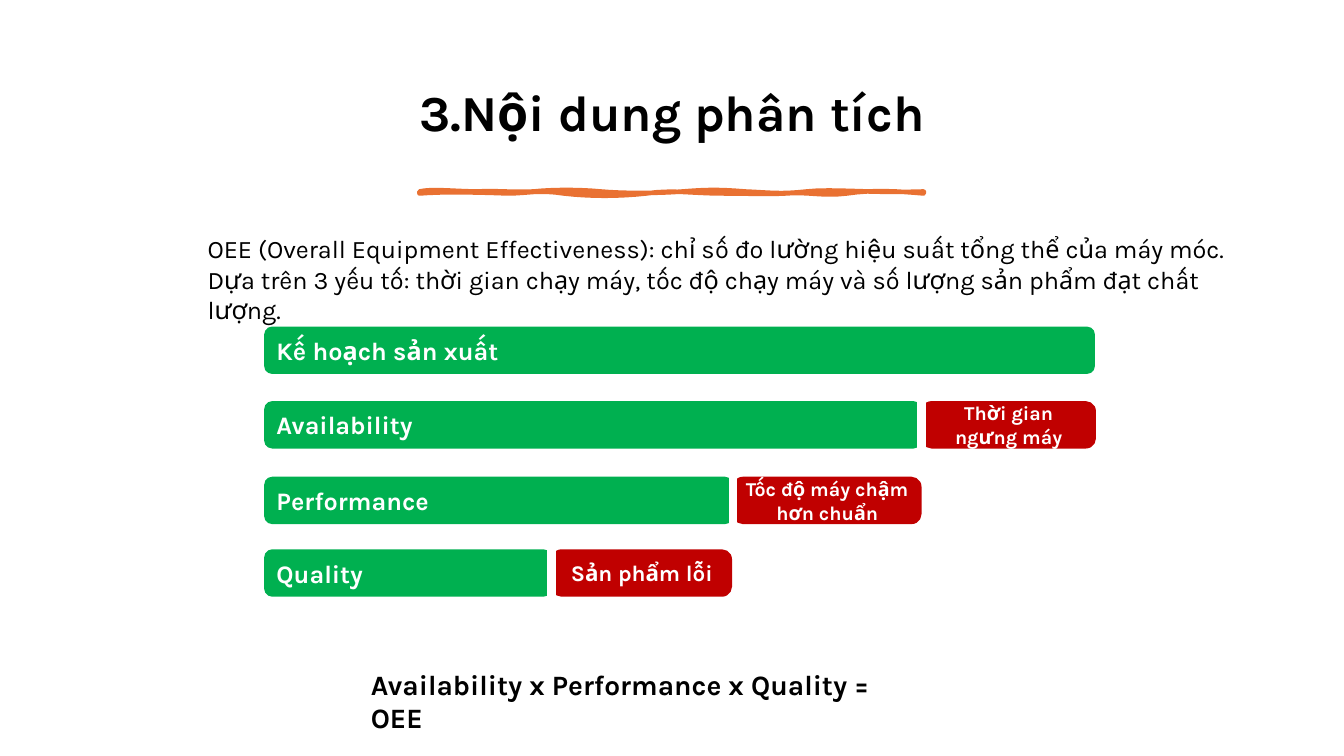
from lxml.etree import SubElement
from pptx import Presentation
from pptx.dml.color import RGBColor
from pptx.enum.shapes import MSO_CONNECTOR, MSO_SHAPE
from pptx.enum.text import MSO_ANCHOR, MSO_AUTO_SIZE, PP_ALIGN
from pptx.oxml.ns import qn
from pptx.util import Emu, Pt

BLACK = RGBColor(0, 0, 0)
WHITE = RGBColor(255, 255, 255)
GREEN = RGBColor(0, 176, 80)
RED = RGBColor(192, 0, 0)
ORANGE = RGBColor(233, 113, 50)

BAR_LEFT, BAR_HEIGHT = 262, 47

# label, top, right end, loss lines, loss right end, loss size, divider top and bottom
BARS = [
    ("Kế hoạch sản xuất", 324, 1086, None, 0, 0, 0, 0),
    ("Availability", 398, 914, ["Thời gian", "ngưng máy"], 1087, 14, 391, 445),
    ("Performance", 473, 727, ["Tốc độ máy chậm hơn chuẩn"], 914, 14, 464, 528),
    ("Quality", 545, 547, ["Sản phẩm lỗi"], 726, 16, 545, 608),
]

# cubic curves of the brush stroke: two control points and an end point each
STROKE_START = (416, 190)
STROKE = [
    ((428, 187), (454, 190), (473, 190)),
    ((492, 189), (509, 191), (529, 190)),
    ((549, 188), (574, 188), (596, 190)),
    ((617, 192), (653, 192), (677, 190)),
    ((702, 188), (714, 188), (739, 190)),
    ((763, 191), (774, 193), (800, 190)),
    ((826, 187), (867, 192), (916, 190)),
    ((917, 191), (916, 191), (916, 192)),
    ((895, 190), (865, 188), (840, 192)),
    ((815, 195), (801, 190), (779, 192)),
    ((756, 193), (747, 192), (717, 192)),
    ((687, 192), (667, 188), (641, 192)),
    ((614, 195), (585, 195), (559, 192)),
    ((534, 188), (523, 192), (503, 192)),
    ((483, 191), (438, 190), (416, 192)),
]


def px(n):
    """Convert px, at 100 to the inch, into EMU."""
    return Emu(round(n * 9144))


def flatten(start, curves, steps=8):
    """Turn cubic curves into a list of points."""
    points = []
    for c1, c2, end in curves:
        for i in range(1, steps + 1):
            t = i / steps
            u = 1 - t
            points.append(tuple(
                u**3 * a + 3 * u * u * t * b + 3 * u * t * t * c + t**3 * d
                for a, b, c, d in zip(start, c1, c2, end)))
        start = end
    return points


class Deck:
    font = "Karla"

    def __init__(self):
        self.prs = Presentation()
        self.prs.slide_width, self.prs.slide_height = px(1333), px(750)
        self.s = self.prs.slides.add_slide(self.prs.slide_layouts[5])

    def add_lines(self, tf, lines, size, color, bold=False, align=PP_ALIGN.LEFT):
        tf.word_wrap = True
        for i, line in enumerate(lines):
            p = tf.add_paragraph() if i else tf.paragraphs[0]
            p.alignment = align
            r = p.add_run()
            r.text = line
            r.font.name, r.font.size, r.font.bold = self.font, Pt(size), bold
            r.font.color.rgb = color

    def title(self, text, x, y, w, h):
        sp = self.s.shapes.title
        sp.left, sp.top, sp.width, sp.height = map(px, (x, y, w, h))
        tf = sp.text_frame
        tf.auto_size = MSO_AUTO_SIZE.NONE
        tf.vertical_anchor = MSO_ANCHOR.MIDDLE
        self.add_lines(tf, [text], 36, BLACK, True, PP_ALIGN.CENTER)
        tf.paragraphs[0].line_spacing = 0.9

    def text(self, lines, x, y, w, h, size, bold=False):
        tf = self.s.shapes.add_textbox(*map(px, (x, y, w, h))).text_frame
        self.add_lines(tf, lines, size, BLACK, bold)
        tf.auto_size = MSO_AUTO_SIZE.SHAPE_TO_FIT_TEXT

    def bar(self, lines, x, y, w, h, color, size, align=PP_ALIGN.LEFT, corner=0.17):
        sp = self.s.shapes.add_shape(MSO_SHAPE.ROUNDED_RECTANGLE, *map(px, (x, y, w, h)))
        sp.adjustments[0] = corner
        sp.shadow.inherit = False
        sp.fill.solid()
        sp.fill.fore_color.rgb = color
        sp.line.fill.background()
        sp.text_frame.vertical_anchor = MSO_ANCHOR.MIDDLE
        self.add_lines(sp.text_frame, lines, size, WHITE, True, align)

    def divider(self, x, top, bottom):
        line = self.s.shapes.add_connector(
            MSO_CONNECTOR.STRAIGHT, *map(px, (x, top, x, bottom)))
        line.line.color.rgb = WHITE
        line.line.width = Pt(6)
        SubElement(line._element.spPr, qn("a:effectLst"))

    def brush(self, start, curves):
        builder = self.s.shapes.build_freeform(*map(px, start))
        builder.add_line_segments([(px(x), px(y)) for x, y in flatten(start, curves)])
        sp = builder.convert_to_shape()
        sp.shadow.inherit = False
        sp.fill.solid()
        sp.fill.fore_color.rgb = ORANGE
        sp.line.color.rgb = ORANGE
        sp.line.width = Pt(3.25)


def main():
    deck = Deck()
    deck.title("3.Nội dung phân tích", 70, 46, 1193, 137)
    deck.brush(STROKE_START, STROKE)
    deck.text([
        "OEE (Overall Equipment Effectiveness): chỉ số đo lường hiệu suất tổng thể của máy móc.",
        "Dựa trên 3 yếu tố: thời gian chạy máy, tốc độ chạy máy và số lượng sản phẩm đạt chất lượng.",
    ], 196, 227, 1045, 71, 18)
    for label, top, end, loss, loss_end, size, line_top, line_bottom in BARS:
        deck.bar([label], BAR_LEFT, top, end - BAR_LEFT, BAR_HEIGHT, GREEN, 18)
        if loss:
            deck.bar(loss, end, top, loss_end - end, BAR_HEIGHT, RED, size,
                     PP_ALIGN.CENTER, 0.21)
            deck.divider(end, line_top, line_bottom)
    deck.text(["Availability x Performance x Quality = OEE"], 358, 657, 556, 44, 20, True)
    deck.prs.save("out.pptx")


if __name__ == "__main__":
    main()
